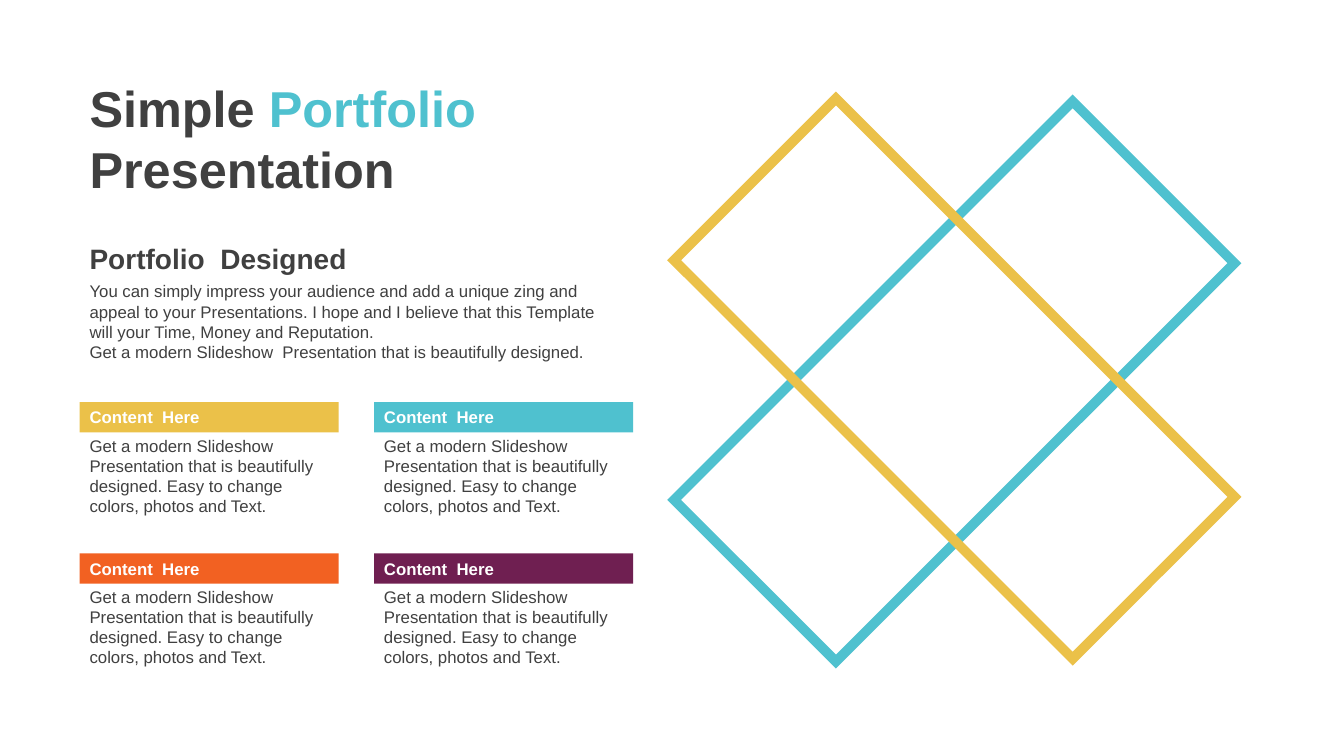
from lxml import etree
from pptx import Presentation
from pptx.dml.color import RGBColor
from pptx.enum.shapes import MSO_SHAPE
from pptx.enum.text import MSO_ANCHOR, PP_ALIGN
from pptx.oxml.ns import qn
from pptx.util import Inches, Pt

RECTANGLE = MSO_SHAPE.RECTANGLE
TOP, MIDDLE = MSO_ANCHOR.TOP, MSO_ANCHOR.MIDDLE
LEFT = PP_ALIGN.LEFT

COLORS = {"dark": "404040", "white": "FFFFFF", "teal": "4FC1CF",
          "yellow": "EBC149", "orange": "F26122", "plum": "6F1F51"}
FONT = "Arial"

TITLE = [[("Simple", "dark"), (" Portfolio", "teal")], [("Presentation", "dark")]]
SUBTITLE = "Portfolio  Designed"
INTRO = [
    "You can simply impress your audience and add a unique zing and appeal to your "
    "Presentations. I hope and I believe that this Template will your Time, Money and Reputation.",
    "Get a modern Slideshow  Presentation that is beautifully designed.",
]
CARD_HEADING = "Content  Here"
CARD_BODY = ("Get a modern Slideshow  Presentation that is beautifully designed. "
             "Easy to change colors, photos and Text.")
CARD_COLORS = ["yellow", "teal", "orange", "plum"]
FRAMES = [("teal", 0.99, 45), ("yellow", 0.96, 315)]

MARGIN = 0.79
INTRO_WIDTH = 5.46
CARD_TOP, CARD_WIDTH, HEADING_HEIGHT, BODY_HEIGHT = 3.99, 2.57, 0.3, 0.91
BODY_OFFSET = 0.28
COLUMN_STEP, ROW_STEP = 2.92, 1.5


def rgb(name):
    return RGBColor.from_string(COLORS[name])


def fill_text(shape, paragraphs, size, bold=False, anchor=TOP):
    frame = shape.text_frame
    frame.word_wrap = True
    frame.vertical_anchor = anchor
    for index, pieces in enumerate(paragraphs):
        paragraph = frame.add_paragraph() if index else frame.paragraphs[0]
        paragraph.alignment = LEFT
        for text, color in pieces:
            run = paragraph.add_run()
            run.text = text
            run.font.name = FONT
            run.font.size = Pt(size)
            run.font.bold = bold
            run.font.color.rgb = rgb(color)


def add_text(slide, box, paragraphs, size, bold=False, anchor=TOP):
    textbox = slide.shapes.add_textbox(*map(Inches, box))
    fill_text(textbox, paragraphs, size, bold, anchor)
    return textbox


def add_rectangle(slide, box):
    rectangle = slide.shapes.add_shape(RECTANGLE, *map(Inches, box))
    rectangle.shadow.inherit = False
    return rectangle


def add_frame(slide, color, top, rotation):
    frame = add_rectangle(slide, (8.33, top, 2.27, 5.59))
    frame.rotation = rotation
    frame.fill.background()
    frame.line.color.rgb = rgb(color)
    frame.line.width = Pt(7)
    outline = frame.line._get_or_add_ln()
    etree.SubElement(outline, qn("a:miter")).set("lim", "800000")


def add_card(slide, index, color):
    row, column = divmod(index, 2)
    left = MARGIN + column * COLUMN_STEP
    top = CARD_TOP + row * ROW_STEP
    heading = add_rectangle(slide, (left, top, CARD_WIDTH, HEADING_HEIGHT))
    heading.fill.solid()
    heading.fill.fore_color.rgb = rgb(color)
    heading.line.fill.background()
    fill_text(heading, [[(CARD_HEADING, "white")]], 12, True, MIDDLE)
    add_text(slide, (left, top + BODY_OFFSET, CARD_WIDTH, BODY_HEIGHT),
             [[(CARD_BODY, "dark")]], 12)


def main():
    deck = Presentation()
    deck.slide_width, deck.slide_height = Inches(13.33), Inches(7.5)
    slide = deck.slides.add_slide(deck.slide_layouts[6])

    for color, top, rotation in FRAMES:
        add_frame(slide, color, top, rotation)

    subtitle = add_text(slide, (MARGIN, 2.35, INTRO_WIDTH, 0.39),
                        [[(SUBTITLE, "dark")]], 20, True, MIDDLE)
    subtitle.text_frame.paragraphs[0].line_spacing = 1.1
    add_text(slide, (MARGIN, 2.74, INTRO_WIDTH, 0.91),
             [[(text, "dark")] for text in INTRO], 12)

    for index, color in enumerate(CARD_COLORS):
        add_card(slide, index, color)

    add_text(slide, (MARGIN, 0.72, 4.6, 1.31), TITLE, 36, True)
    deck.save("out.pptx")


if __name__ == "__main__":
    main()
